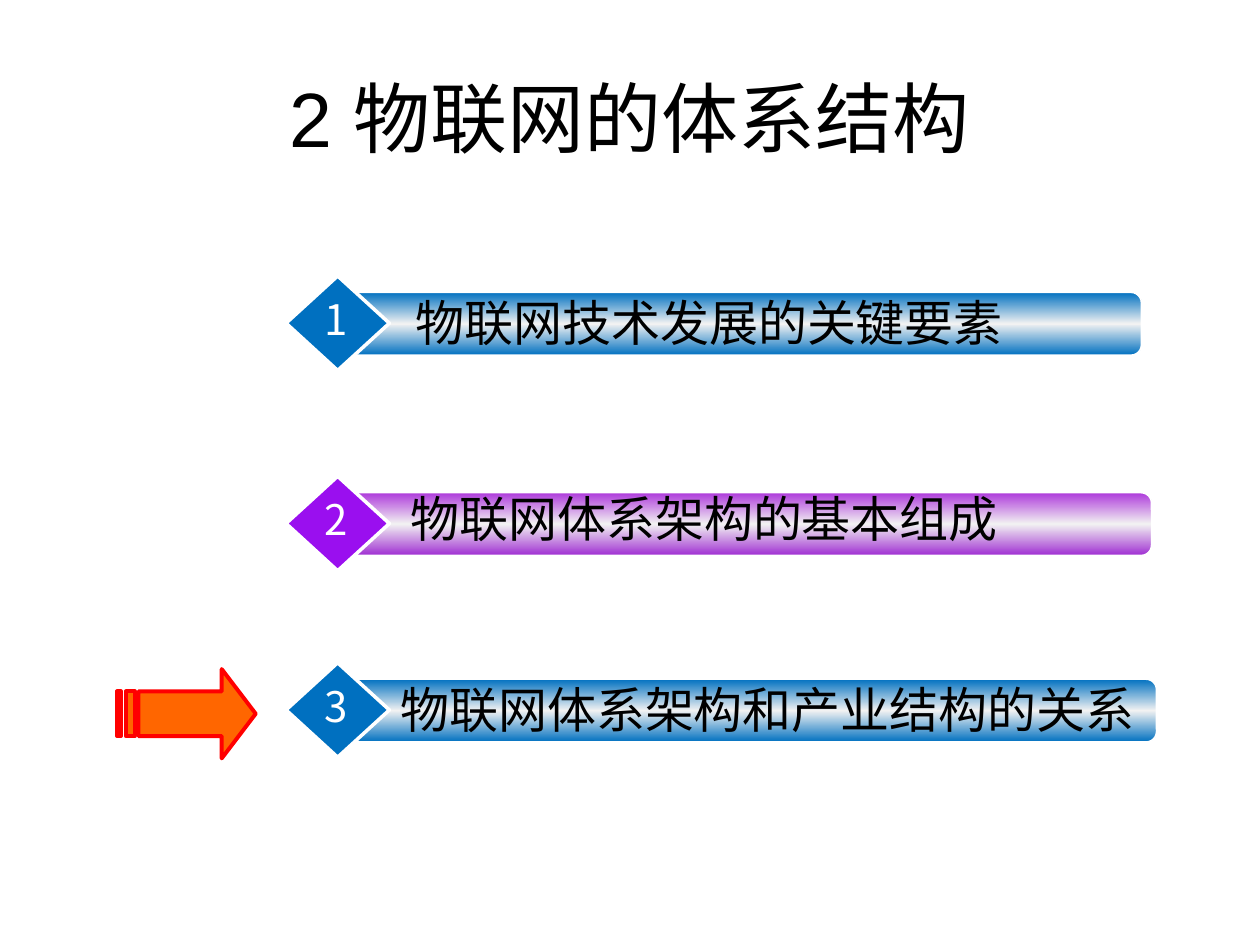
import copy

import pptx
import pptx.dml.color
import pptx.enum.shapes
import pptx.enum.text
import pptx.oxml.ns
import pptx.util

SHAPE = pptx.enum.shapes.MSO_SHAPE
ANCHOR = pptx.enum.text.MSO_ANCHOR
ALIGN = pptx.enum.text.PP_ALIGN
CJK = "Noto Sans CJK SC"
COLORS = {
    "black": "000000", "white": "FFFFFF", "silver": "F2F2F2",
    "blue": "0070C0", "violet": "9A0FEF",
    "orchid": "AD39DB", "purple": "9F2ED2",
    "orange": "FF6600", "red": "FF0000",
}
BLUE_ROW = ("blue", ("blue", "silver", "blue"))
VIOLET_ROW = ("violet", ("orchid", "silver", "purple"))
# top, bar width, text left, text width, text drop, colours, text
ROWS = [
    (2.19, 6.34, 3.20, 4.92, 0.08, BLUE_ROW, "物联网技术发展的关键要素"),
    (3.78, 6.42, 3.16, 5.31, 0.05, VIOLET_ROW, "物联网体系架构的基本组成"),
    (5.26, 6.46, 3.08, 6.17, 0.08, BLUE_ROW, "物联网体系架构和产业结构的关系"),
]
ROW_LEFT = 2.27


def rgb(name):
    return pptx.dml.color.RGBColor.from_string(COLORS[name])


def inches(*lengths):
    return [pptx.util.Inches(length) for length in lengths]


def add_text(p, text, size, font="Arial", color="black"):
    r = p.add_run()
    r.text = text
    r.font.size = pptx.util.Pt(size)
    r.font.name = font
    r.font.color.rgb = rgb(color)
    rPr = r.font._element
    ea = rPr.makeelement(pptx.oxml.ns.qn("a:ea"), {"typeface": CJK})
    rPr.find(pptx.oxml.ns.qn("a:latin")).addnext(ea)


def add_label(shapes, box, text, wrap=True, **style):
    tf = shapes.add_textbox(*inches(*box)).text_frame
    tf.word_wrap = wrap
    add_text(tf.paragraphs[0], text, **style)


def style_shape(sp, fill, line, width):
    """Fill with one colour, or with a tuple of them from top to bottom."""
    sp.shadow.inherit = False
    sp.line.color.rgb = rgb(line)
    sp.line.width = pptx.util.Pt(width)
    if isinstance(fill, str):
        sp.fill.solid()
        sp.fill.fore_color.rgb = rgb(fill)
        return
    sp.fill.gradient()
    sp.fill.gradient_angle = 270
    first = sp._element.spPr.findall(".//" + pptx.oxml.ns.qn("a:gs"))[0]
    for _ in fill[2:]:
        first.addnext(copy.deepcopy(first))
    for i, (stop, name) in enumerate(zip(sp.fill.gradient_stops, fill)):
        stop.position = i / (len(fill) - 1)
        stop.color.rgb = rgb(name)


def add_title(s, box):
    title = s.shapes.title
    title.left, title.top, title.width, title.height = inches(*box)
    tf = title.text_frame
    tf.vertical_anchor = ANCHOR.MIDDLE
    p = tf.paragraphs[0]
    p.alignment = ALIGN.CENTER
    add_text(p, "2 物联网的体系结构", size=44)


def add_row(s, number, left, row):
    top, bar_width, text_left, text_width, drop, (accent, bar_fill), text = row
    shapes = s.shapes.add_group_shape().shapes
    bar = shapes.add_shape(SHAPE.ROUNDED_RECTANGLE,
                           *inches(left + 0.45, top + 0.13, bar_width, 0.5))
    bar.adjustments[0] = 0.167
    style_shape(bar, bar_fill, "white", 1)
    diamond = shapes.add_shape(SHAPE.DIAMOND, *inches(left, top, 0.82, 0.75))
    style_shape(diamond, accent, "white", 2)
    add_label(shapes, (text_left, top + drop, text_width, 0.57), text, size=28)
    add_label(shapes, (left + 0.21, top + 0.09, 0.37, 0.51), str(number),
              wrap=False, size=24, font=CJK, color="white")


def add_striped_arrow(s, left, top, width, height):
    right, bottom, middle = left + width, top + height, top + height / 2
    upper, lower = top + height / 4, bottom - height / 4
    neck, body = left + 0.83, left + 0.17
    outlines = [[(neck, top), (neck, upper), (body, upper), (body, lower),
                 (neck, lower), (neck, bottom), (right, middle)]]
    for x1, x2 in [(left + 0.07, left + 0.14), (left, left + 0.03)]:
        outlines.append([(x1, upper), (x1, lower), (x2, lower), (x2, upper)])
    # The builder rounds its coordinates to whole numbers, so give it EMU.
    (start, *rest), *stripes = [[inches(*point) for point in outline]
                                for outline in outlines]
    builder = s.shapes.build_freeform(*start)
    builder.add_line_segments(rest, close=True)
    for corner, *others in stripes:
        builder.move_to(*corner)
        builder.add_line_segments(others, close=True)
    style_shape(builder.convert_to_shape(), "orange", "red", 2.25)


def main():
    prs = pptx.Presentation()
    prs.slide_width, prs.slide_height = inches(10, 7.5)
    s = prs.slides.add_slide(prs.slide_layouts[5])
    add_title(s, (0.5, 0.3, 9, 1.25))
    for number, row in enumerate(ROWS, start=1):
        add_row(s, number, ROW_LEFT, row)
    add_striped_arrow(s, 0.93, 5.31, 1.1, 0.71)
    prs.save("out.pptx")


if __name__ == "__main__":
    main()
